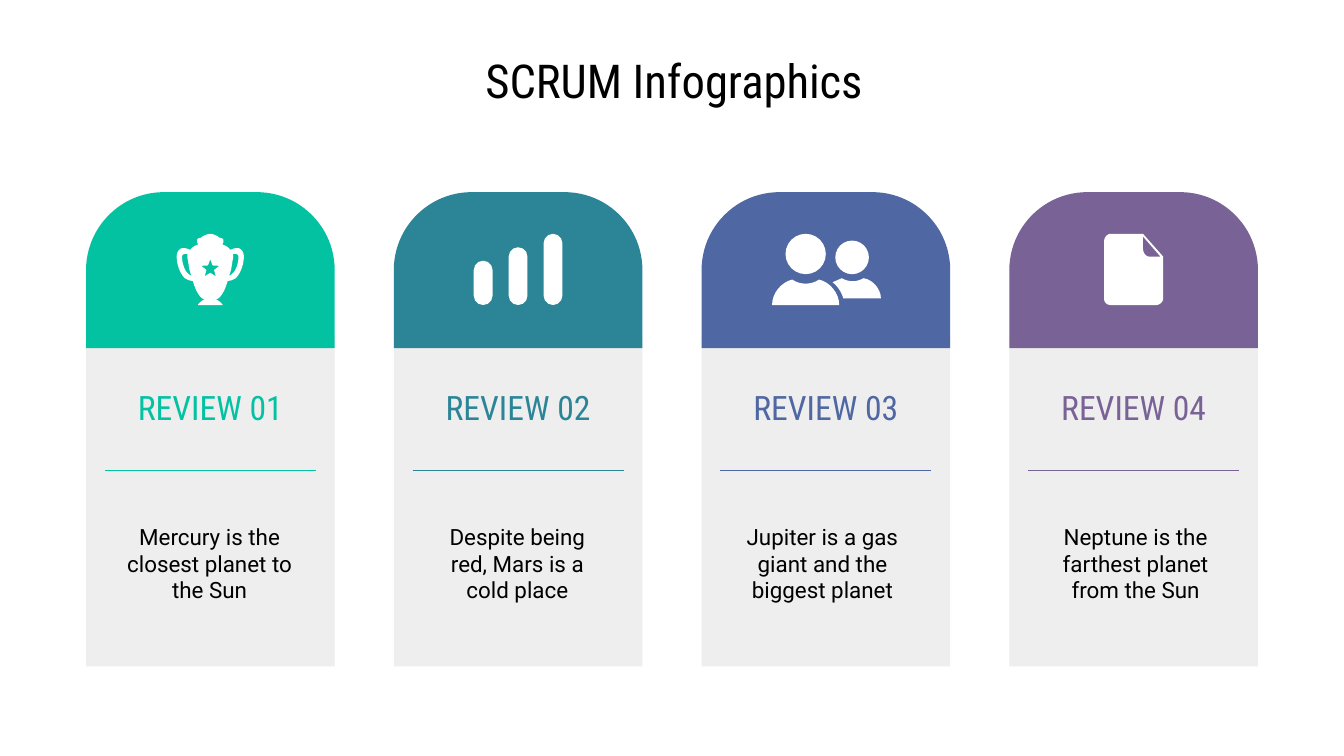
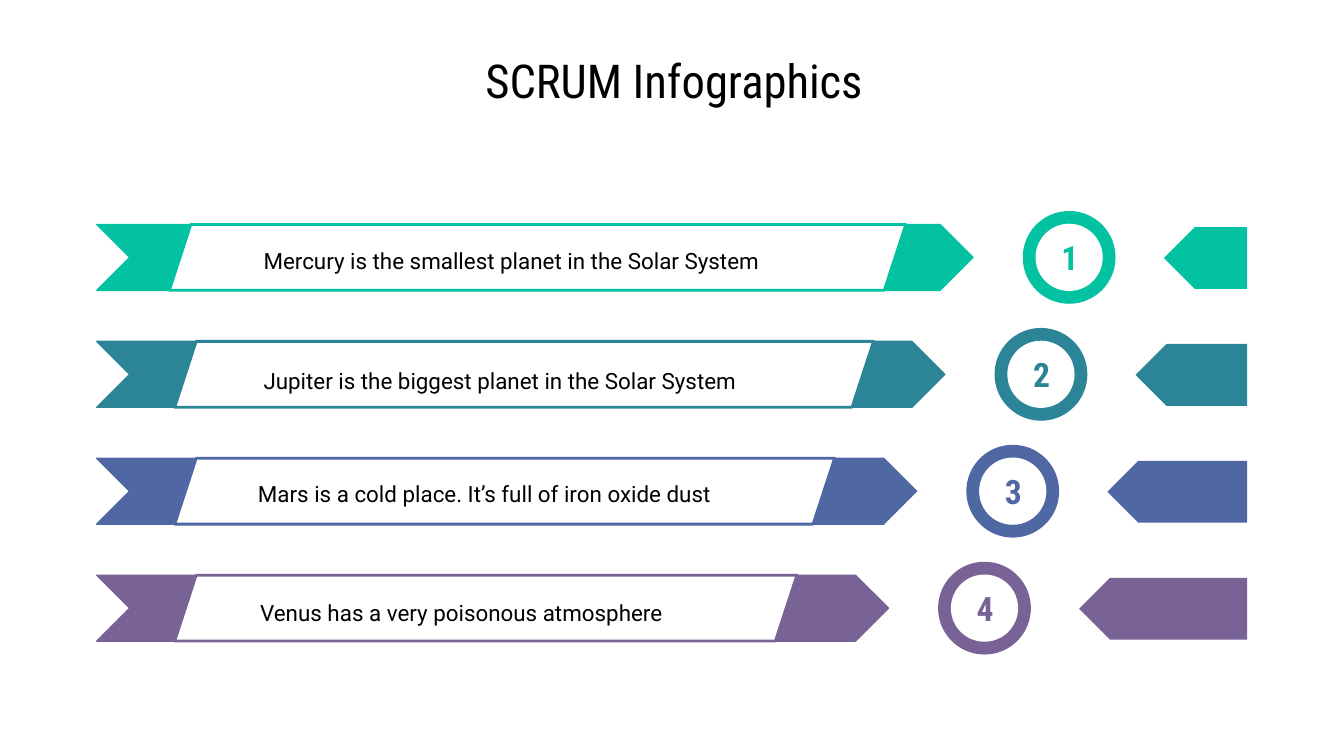
from math import cos, pi, sin

from lxml.etree import SubElement
from pptx import Presentation
from pptx.dml.color import RGBColor
from pptx.enum.shapes import MSO_CONNECTOR, MSO_SHAPE as Preset
from pptx.enum.text import MSO_ANCHOR as Anchor, PP_ALIGN as Align
from pptx.oxml.ns import qn
from pptx.util import Inches, Pt

BLACK = RGBColor(0x00, 0x00, 0x00)
WHITE = RGBColor(0xFF, 0xFF, 0xFF)
PALE_GREY = RGBColor(0xEE, 0xEE, 0xEE)
GREEN = RGBColor(0x03, 0xC2, 0xA2)
TEAL = RGBColor(0x2B, 0x85, 0x97)
BLUE = RGBColor(0x4F, 0x67, 0xA2)
PURPLE = RGBColor(0x79, 0x62, 0x95)
COLOURS = [GREEN, TEAL, BLUE, PURPLE]

BODY_FONT = "Roboto"
HEAD_FONT = "Roboto Condensed"

PAGE_WIDTH = 10
PAGE_HEIGHT = PAGE_WIDTH * 9 / 16
CARD_LEFT, CARD_STEP, CARD_WIDTH = 0.64, 2.29, 1.85
ICON_TOP = 1.74
ROW_TOP, ROW_STEP, ROW_HEIGHT = 1.67, 0.87, 0.49
ROW_SHIFT = 0.21
ROW_LEFT, ROW_RIGHT = 0.72, 9.28

# Text and the left of its box.
REVIEWS = [
    ("Mercury is the closest planet to the Sun", 0.82),
    ("Despite being red, Mars is a cold place", 3.11),
    ("Jupiter is a gas giant and the biggest planet", 5.38),
    ("Neptune is the farthest planet from the Sun", 7.71),
]

# Text, its box top and width, then the panel's lower left and upper right.
FACTS = [
    ("Mercury is the smallest planet in the Solar System", 1.71, 3.99, 1.26, 6.74),
    ("Jupiter is the biggest planet in the Solar System", 2.6, 3.82, 1.3, 6.5),
    ("Mars is a cold place. It’s full of iron oxide dust", 3.44, 3.63, 1.3, 6.21),
    ("Venus has a very poisonous atmosphere", 4.33, 3.27, 1.3, 5.93),
]


def paint(shape, fill, line=None, width=0.75):
    shape.shadow.inherit = False
    shape.fill.solid()
    shape.fill.fore_color.rgb = fill
    if line is None:
        shape.line.fill.background()
    else:
        shape.line.color.rgb = line
        shape.line.width = Pt(width)


def add_preset(page, preset, left, top, width, height, fill, line=None, adjust=()):
    shape = page.shapes.add_shape(
        preset, Inches(left), Inches(top), Inches(width), Inches(height))
    for index, value in enumerate(adjust):
        shape.adjustments[index] = value
    paint(shape, fill, line)
    return shape


def add_outline(page, contours, fill, line=None, width=0.75, origin=(0, 0)):
    """Draw closed contours as one shape; inner contours become holes."""
    def place(point):
        return Inches(origin[0] + point[0]), Inches(origin[1] + point[1])

    builder = page.shapes.build_freeform(*place(contours[0][0]))
    for index, contour in enumerate(contours):
        if index:
            builder.move_to(*place(contour[0]))
        builder.add_line_segments([place(point) for point in contour[1:]], close=True)
    paint(builder.convert_to_shape(), fill, line, width)


def add_rule(page, left, top, width, colour):
    rule = page.shapes.add_connector(
        MSO_CONNECTOR.STRAIGHT, Inches(left), Inches(top), Inches(left + width), Inches(top))
    rule.line.color.rgb = colour
    rule.line.width = Pt(0.75)
    SubElement(rule._element.spPr, qn("a:effectLst"))


def add_text(page, text, left, top, width, height, size, colour=BLACK,
             font=BODY_FONT, bold=False, align=Align.CENTER, anchor=Anchor.MIDDLE):
    box = page.shapes.add_textbox(
        Inches(left), Inches(top), Inches(width), Inches(height))
    frame = box.text_frame
    frame.word_wrap = True
    frame.vertical_anchor = anchor
    frame.margin_left = frame.margin_right = Inches(0.1)
    frame.margin_top = frame.margin_bottom = Inches(0.1)
    para = frame.paragraphs[0]
    para.alignment = align
    span = para.add_run()
    span.text = text
    span.font.name = font
    span.font.size = Pt(size)
    span.font.bold = bold
    span.font.color.rgb = colour
    return para


def add_page(deck):
    page = deck.slides.add_slide(deck.slide_layouts[6])
    add_text(page, "SCRUM Infographics", 0.53, 0.33, 8.97, 0.53, 25, font=HEAD_FONT)
    return page


def trace(*steps):
    """Turn steps into points: two numbers are a corner, six a Bézier curve."""
    points = []
    for step in steps:
        if len(step) == 2:
            points.append(step)
            continue
        x0, y0 = points[-1]
        x1, y1, x2, y2, x3, y3 = step
        for part in range(1, 9):
            t = part / 8
            a, b, c, d = (1 - t) ** 3, 3 * t * (1 - t) ** 2, 3 * t * t * (1 - t), t ** 3
            points.append((a * x0 + b * x1 + c * x2 + d * x3,
                           a * y0 + b * y1 + c * y2 + d * y3))
    return points


def mirror(points):
    return [(-x, y) for x, y in reversed(points)]


def draw_trophy(page, centre):
    half = trace(
        (0, 0), (-0.01, 0, -0.05, 0.01, -0.07, 0.03), (-0.12, 0.03, -0.09, 0.08, -0.09, 0.08),
        (-0.09, 0.08, -0.13, 0.09, -0.15, 0.12), (-0.17, 0.11, -0.2, 0.1, -0.22, 0.11),
        (-0.23, 0.12, -0.25, 0.13, -0.25, 0.17), (-0.25, 0.22, -0.23, 0.29, -0.19, 0.33),
        (-0.17, 0.34, -0.16, 0.35, -0.13, 0.35), (-0.11, 0.42, -0.08, 0.48, -0.04, 0.49),
        (-0.06, 0.49, -0.1, 0.53, -0.09, 0.53))
    handle = trace(
        (-0.19, 0.15), (-0.17, 0.15), (-0.17, 0.18), (-0.16, 0.22, -0.16, 0.27, -0.14, 0.31),
        (-0.15, 0.31, -0.16, 0.3, -0.16, 0.3), (-0.19, 0.28, -0.21, 0.22, -0.21, 0.17),
        (-0.21, 0.16, -0.2, 0.15, -0.19, 0.15))
    star = []
    for tip in range(10):
        radius = 0.03 if tip % 2 else 0.07
        angle = tip * pi / 5
        star.append((radius * sin(angle), 0.26 - radius * cos(angle)))
    add_outline(page, [half + mirror(half), handle, mirror(handle), star], WHITE,
                origin=(centre, ICON_TOP))


def draw_bars(page, centre):
    for index, height in enumerate([0.33, 0.43, 0.53]):
        add_preset(page, Preset.ROUNDED_RECTANGLE, centre - 0.33 + 0.26 * index,
                   ICON_TOP + 0.53 - height, 0.14, height, WHITE, adjust=[0.5])


def draw_people(page, centre):
    half = trace((-0.25, 0.53), (-0.25, 0.44, -0.18, 0.36, -0.1, 0.34),
                 (-0.07, 0.36, -0.04, 0.37, 0, 0.37))
    rear = trace((0.12, 0.33), (0.05, 0.36), (0.09, 0.39, 0.12, 0.44, 0.13, 0.48),
                 (0.41, 0.48), (0.41, 0.41, 0.35, 0.34, 0.28, 0.33),
                 (0.23, 0.36, 0.17, 0.36, 0.12, 0.33))
    add_preset(page, Preset.OVAL, centre - 0.3, ICON_TOP, 0.3, 0.3, WHITE)
    add_outline(page, [half + mirror(half)], WHITE, origin=(centre - 0.15, ICON_TOP))
    add_preset(page, Preset.OVAL, centre + 0.07, ICON_TOP + 0.05, 0.25, 0.25, WHITE)
    add_outline(page, [rear], WHITE, origin=(centre, ICON_TOP))


def draw_document(page, centre):
    sheet = trace((0.07, 0), (-0.17, 0), (-0.2, 0, -0.22, 0.03, -0.22, 0.06),
                  (-0.22, 0.48), (-0.22, 0.51, -0.2, 0.53, -0.17, 0.53),
                  (0.17, 0.53), (0.19, 0.53, 0.22, 0.51, 0.22, 0.48), (0.22, 0.17))
    fold = trace((0.07, 0.02), (0.2, 0.17), (0.12, 0.17),
                 (0.09, 0.17, 0.07, 0.14, 0.07, 0.11))
    add_outline(page, [sheet, fold], WHITE, origin=(centre, ICON_TOP))


def add_card(page, index, review, colour, draw_icon):
    text, text_left = review
    left = CARD_LEFT + CARD_STEP * index
    add_preset(page, Preset.RECTANGLE, left, 2.5, CARD_WIDTH, 2.46, PALE_GREY)
    add_rule(page, left + 0.14, 3.5, 1.57, colour)
    add_preset(page, Preset.ROUND_2_SAME_RECTANGLE, left, 1.43, CARD_WIDTH, 1.16,
               colour, adjust=[0.5, 0])
    draw_icon(page, left + CARD_WIDTH / 2)
    add_text(page, f"REVIEW {index + 1:02}", left + 0.28, 2.73, 1.29, 0.6, 18,
             colour, HEAD_FONT)
    add_text(page, text, text_left, 3.75, 1.48, 0.88, 12)


def add_banner(page, index, fact, colour):
    """Draw one row: ribbon with its text, numbered ring and pointing tag."""
    text, text_top, text_width, panel_left, panel_right = fact
    top = ROW_TOP + ROW_STEP * index
    bottom = top + ROW_HEIGHT
    shift = ROW_SHIFT * index
    add_preset(page, Preset.CHEVRON, ROW_LEFT, top, 6.52 - shift, ROW_HEIGHT,
               colour, colour, [0.5])
    panel = [(panel_right, top), (panel_right - 0.16, bottom),
             (panel_left, bottom), (panel_left + 0.16, top)]
    add_outline(page, [panel], WHITE, colour, 1.5)
    para = add_text(page, text, 1.76, text_top, text_width, 0.39, 12,
                    align=Align.RIGHT, anchor=Anchor.TOP)
    para.line_spacing = 1.15
    para.space_after = Pt(16)

    ring_left = 7.61 - shift
    add_preset(page, Preset.OVAL, ring_left, top - 0.1, 0.69, 0.69, colour)
    add_preset(page, Preset.OVAL, ring_left + 0.1, top, 0.49, 0.49, WHITE, WHITE)
    add_text(page, str(index + 1), ring_left + 0.18, top + 0.05, 0.34, 0.39, 18,
             colour, HEAD_FONT, bold=True)

    tag_left = 8.66 - shift
    tag = add_preset(page, Preset.PENTAGON, tag_left, top + 0.02, ROW_RIGHT - tag_left,
                     0.46, colour, adjust=[0.5])
    tag._element.spPr.get_or_add_xfrm().set("flipH", "1")


def main():
    deck = Presentation()
    deck.slide_width = Inches(PAGE_WIDTH)
    deck.slide_height = Inches(PAGE_HEIGHT)

    page = add_page(deck)
    icons = [draw_trophy, draw_bars, draw_people, draw_document]
    for index, (review, colour, icon) in enumerate(zip(REVIEWS, COLOURS, icons)):
        add_card(page, index, review, colour, icon)

    page = add_page(deck)
    for index, (fact, colour) in enumerate(zip(FACTS, COLOURS)):
        add_banner(page, index, fact, colour)

    deck.save("out.pptx")


if __name__ == "__main__":
    main()
